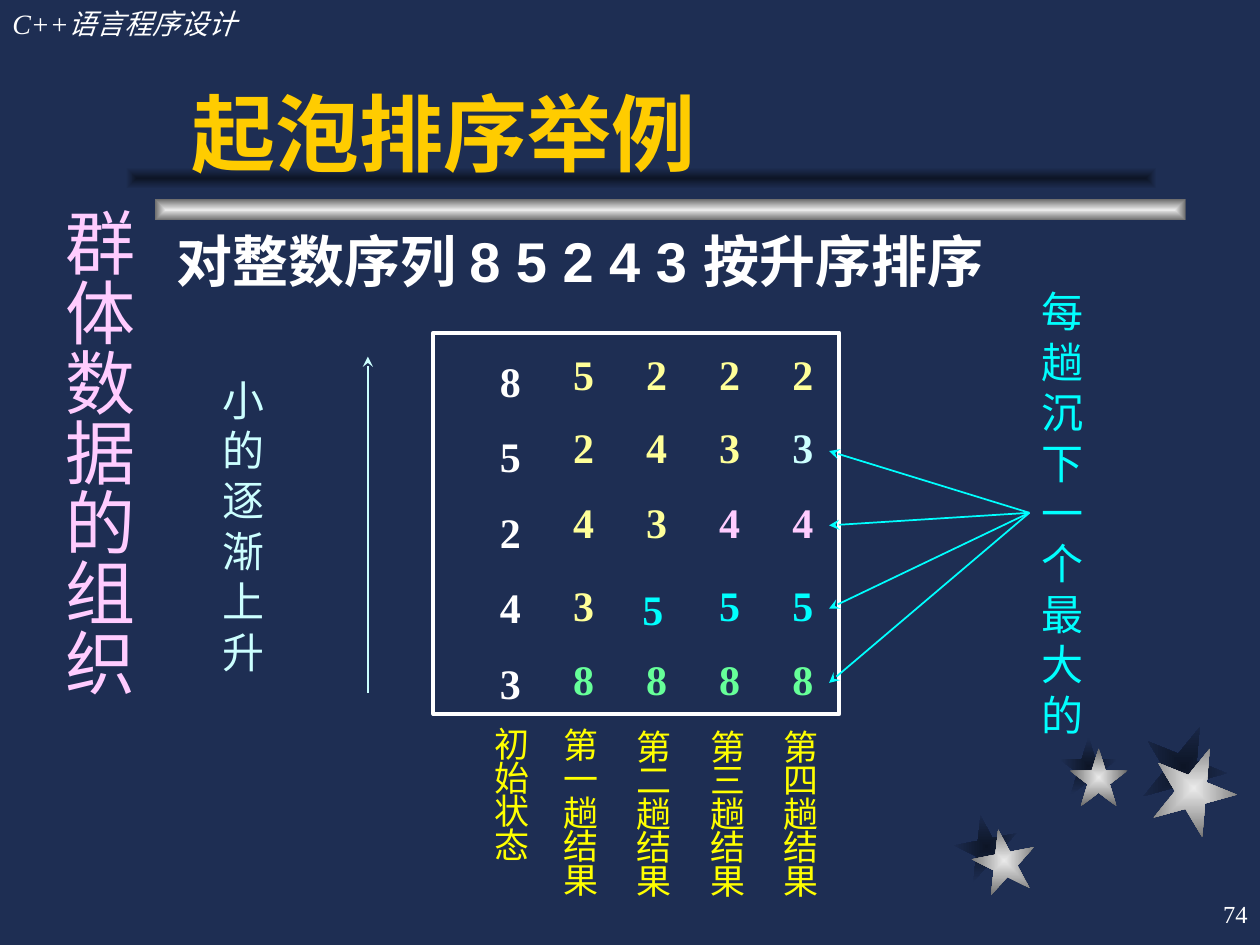
from dataclasses import dataclass

from lxml.etree import SubElement
from pptx import Presentation
from pptx.dml.color import RGBColor
from pptx.enum.shapes import MSO_CONNECTOR, MSO_SHAPE
from pptx.enum.text import MSO_ANCHOR, MSO_AUTO_SIZE, PP_ALIGN
from pptx.oxml.ns import qn
from pptx.util import Inches, Pt


@dataclass(frozen=True)
class Theme:
    background: str = "1E2E53"
    shade: str = "0D1526"
    silver: str = "EAEAEA"
    gray: str = "6B6B6B"
    white: str = "FFFFFF"
    gold: str = "FFCC00"
    yellow: str = "FFFF00"
    cream: str = "FFFF99"
    green: str = "66FF99"
    cyan: str = "00FFFF"
    pale_cyan: str = "CCFFFF"
    pink: str = "FFCCFF"
    serif: str = "Times New Roman"
    sans: str = "Arial"
    chinese: str = "Noto Sans CJK SC"
    title_size: int = 48
    chapter_size: int = 40
    task_size: int = 32
    value_size: int = 24
    label_size: int = 20
    course_size: int = 16
    number_size: int = 14


THEME = Theme()

STAR_SIZES = [(0.5, 349), (0.46, 0), (0.67, 22)]
STAR_SHADOWS = [(7.58, 6.47), (8.41, 5.85), (9.06, 5.75)]
STARS = [(7.72, 6.58), (8.49, 5.94), (9.14, 5.92)]

START_VALUES = "85243"
ROW_TOPS = [2.72, 3.3, 3.89, 4.55, 5.14]
PASS_LEFT, PASS_STEP = 4.45, 0.58
PASSES = [
    ("52438", [THEME.cream] * 4 + [THEME.green]),
    ("24358", [THEME.cream] * 3 + [THEME.cyan, THEME.green]),
    ("23458", [THEME.cream] * 2 + [THEME.pink, THEME.cyan, THEME.green]),
    ("23458", [THEME.cream, THEME.pale_cyan, THEME.pink, THEME.cyan, THEME.green]),
]
NUDGES = {(1, 3): (-0.03, 0.03)}  # (pass, row): offset of a value off the grid
LABELS = [
    ("初始状态", 3.83, 5.75, 1.17),
    ("第一趟结果", 4.37, 5.76, 1.44),
    ("第二趟结果", 4.95, 5.77, 1.44),
    ("第三趟结果", 5.54, 5.77, 1.44),
    ("第四趟结果", 6.12, 5.77, 1.44),
]
ARROW_ENDS = [5.42, 4.83, 4.17, 3.58]


def rgb(value):
    return RGBColor.from_string(value)


def set_all(target, values):
    for name, value in values.items():
        setattr(target, name, value)


def add_text(slide, lines, box, size, color, *, font=THEME.serif, bold=None,
             italic=None, wrap=True, grow=True, anchor=MSO_ANCHOR.TOP, **paragraph_format):
    """Add a text box with one paragraph for each item of lines."""
    text_box = slide.shapes.add_textbox(*map(Inches, box))
    frame = text_box.text_frame
    frame.text = "\n".join(lines)
    set_all(frame, {
        "word_wrap": wrap,
        "auto_size": MSO_AUTO_SIZE.SHAPE_TO_FIT_TEXT if grow else MSO_AUTO_SIZE.NONE,
        "vertical_anchor": anchor,
    })
    for paragraph in frame.paragraphs:
        set_all(paragraph, paragraph_format)
        for run in paragraph.runs:
            set_all(run.font, {"size": Pt(size), "name": font, "bold": bold, "italic": italic})
            run.font.color.rgb = rgb(color)
            SubElement(run.font._element, qn("a:ea"), typeface=THEME.chinese)
    return text_box


def add_glow_shape(slide, kind, box, inner, outer, rotation=0):
    """Add a borderless shape shaded from its centre to its edges."""
    shape = slide.shapes.add_shape(kind, *map(Inches, box))
    shape.rotation = rotation
    shape.shadow.inherit = False
    shape.line.fill.background()
    shape.fill.gradient()
    for stop, color in zip(shape.fill.gradient_stops, (inner, outer)):
        stop.color.rgb = rgb(color)
    gradient = shape._element.spPr.find(qn("a:gradFill"))
    linear = gradient.find(qn("a:lin"))
    center_out = gradient.makeelement(qn("a:path"), {"path": "rect"})
    gradient.replace(linear, center_out)
    SubElement(center_out, qn("a:fillToRect"), dict.fromkeys("ltrb", "50000"))


def add_arrow(slide, start, end, color, source=None):
    """Add an arrow, joined to the left side of source if one is given."""
    arrow = slide.shapes.add_connector(MSO_CONNECTOR.STRAIGHT, *map(Inches, start + end))
    if source is not None:
        arrow.begin_connect(source, 1)
    arrow.line.color.rgb = rgb(color)
    arrow.line.width = Pt(1)
    SubElement(arrow.line._get_or_add_ln(), qn("a:tailEnd"), type="stealth")
    SubElement(arrow._element.spPr, qn("a:effectLst"))


def add_decoration(slide):
    shadow, metal = (THEME.shade, THEME.background), (THEME.silver, THEME.gray)
    for positions, colors in ((STAR_SHADOWS, shadow), (STARS, metal)):
        for position, (size, rotation) in zip(positions, STAR_SIZES):
            add_glow_shape(slide, MSO_SHAPE.STAR_5_POINT, (*position, size, size),
                           *colors, rotation)
    for left, top, colors in ((1.23, 1.58, metal), (1, 1.33, shadow)):
        add_glow_shape(slide, MSO_SHAPE.RECTANGLE, (left, top, 8.18, 0.17), *colors)


def add_headings(slide):
    add_text(slide, ["C++语言程序设计"], (0, 0, 3.08, 0.37), THEME.course_size,
             THEME.white, italic=True, space_before=Pt(10))
    add_text(slide, ["起泡排序举例"], (1.42, 0.58, 7.83, 0.92), THEME.title_size, THEME.gold,
             font=THEME.chinese, bold=True, grow=False, anchor=MSO_ANCHOR.BOTTOM)
    add_text(slide, ["对整数序列 8 5 2 4 3 按升序排序"], (1.3, 1.75, 7.95, 0.75),
             THEME.task_size, THEME.white, font=THEME.sans, bold=True, grow=False,
             space_before=Pt(8))
    chapter = add_text(slide, ["群体数据的组织"], (0.3, 1.55, 0.86, 4.66), THEME.chapter_size,
                       THEME.pink, font=THEME.chinese, space_before=Pt(25),
                       alignment=PP_ALIGN.CENTER)
    set_all(chapter.text_frame, {
        "margin_left": Inches(0.05), "margin_right": Inches(0.05),
        "margin_top": Inches(0.1), "margin_bottom": Inches(0.1),
    })
    chapter.text_frame._txBody.bodyPr.set("vert", "eaVert")


def add_sorting_passes(slide):
    add_text(slide, START_VALUES, (3.87, 2.57, 0.37, 3.1), THEME.value_size, THEME.white,
             bold=True, wrap=False, line_spacing=1.5)
    for column, (values, colors) in enumerate(PASSES):
        for row, (value, color, top) in enumerate(zip(values, colors, ROW_TOPS)):
            dx, dy = NUDGES.get((column, row), (0, 0))
            box = (PASS_LEFT + column * PASS_STEP + dx, top + dy, 0.37, 0.5)
            add_text(slide, [value], box, THEME.value_size, color, bold=True, wrap=False)
    frame = slide.shapes.add_shape(MSO_SHAPE.RECTANGLE,
                                   *map(Inches, (3.44, 2.64, 3.22, 3.03)))
    frame.shadow.inherit = False
    frame.fill.background()
    frame.line.color.rgb = rgb(THEME.white)
    frame.line.width = Pt(2.25)
    for label, left, top, height in LABELS:
        add_text(slide, [label], (left, top, 0.42, height), THEME.label_size, THEME.yellow,
                 line_spacing=0.8, space_before=Pt(12.5))


def add_explanations(slide):
    add_text(slide, ["小的逐渐上升"], (1.67, 2.92, 0.67, 2.5), THEME.value_size,
             THEME.pale_cyan, space_before=Pt(15))
    add_arrow(slide, (2.92, 5.5), (2.92, 2.83), THEME.pale_cyan)
    sinking = add_text(slide, ["每趟沉下一个最大的"], (8.17, 2.22, 0.58, 3.7),
                       THEME.value_size, THEME.cyan, space_before=Pt(15))
    for end in ARROW_ENDS:
        add_arrow(slide, (8.17, 4.08), (6.58, end), THEME.cyan, sinking)


def main():
    presentation = Presentation()
    set_all(presentation, {"slide_width": Inches(10), "slide_height": Inches(7.5)})
    slide = presentation.slides.add_slide(presentation.slide_layouts[6])
    slide.background.fill.solid()
    slide.background.fill.fore_color.rgb = rgb(THEME.background)
    add_decoration(slide)
    add_headings(slide)
    add_sorting_passes(slide)
    add_explanations(slide)
    add_text(slide, ["74"], (7.92, 7, 2.08, 0.5), THEME.number_size, THEME.white,
             grow=False, anchor=MSO_ANCHOR.MIDDLE, alignment=PP_ALIGN.RIGHT)
    presentation.save("out.pptx")


if __name__ == "__main__":
    main()
